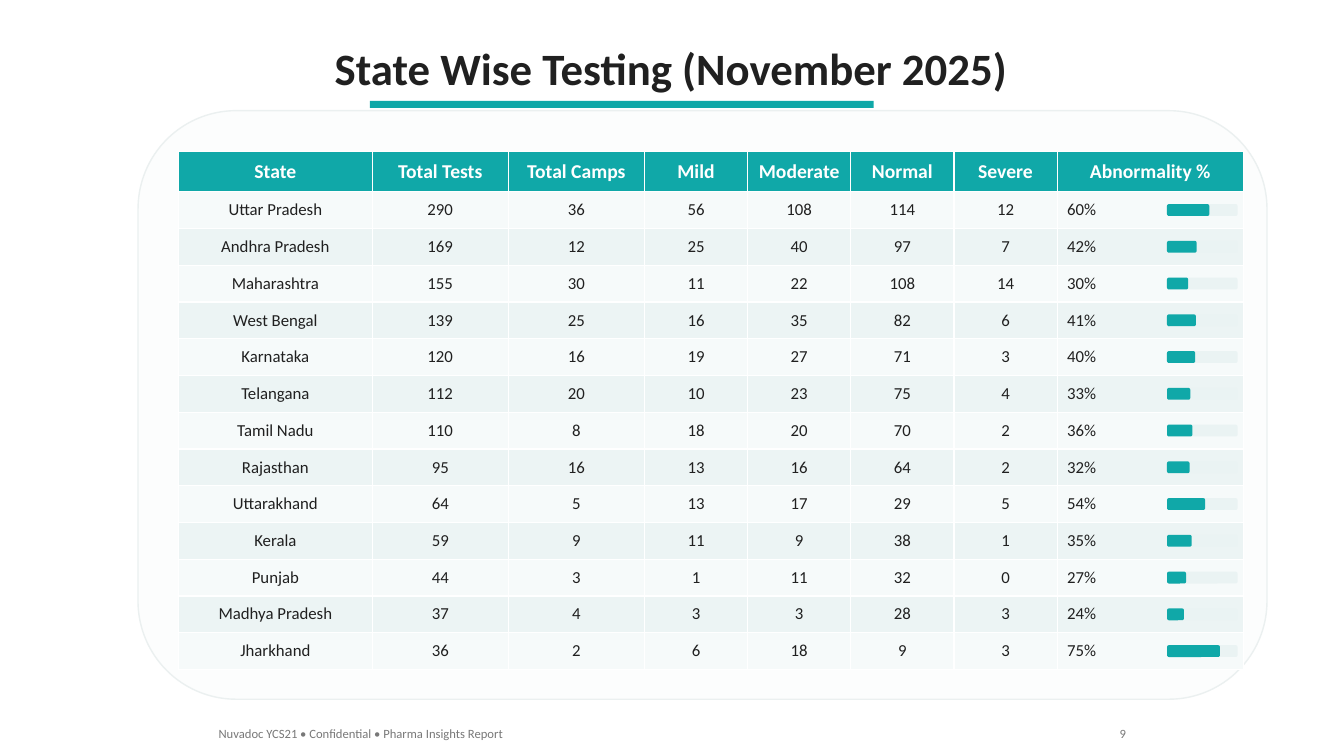
"""Build the state wise testing slide with its table and abnormality bars."""
from dataclasses import dataclass
from typing import Any

from pptx import Presentation
from pptx.dml.color import RGBColor
from pptx.enum.shapes import MSO_SHAPE as Preset
from pptx.enum.text import MSO_ANCHOR as Anchor, MSO_AUTO_SIZE as AutoSize, PP_ALIGN as Align
from pptx.util import Cm, Pt

TEAL = RGBColor(0x10, 0xA8, 0xA8)
INK = RGBColor(0x20, 0x20, 0x20)
GREY = RGBColor(0x78, 0x78, 0x78)
WHITE = RGBColor(0xFF, 0xFF, 0xFF)
CARD_FILL = RGBColor(0xFC, 0xFD, 0xFD)
CARD_LINE = RGBColor(0xEB, 0xF0, 0xF0)
BAR_TRACK = RGBColor(0xEA, 0xF3, 0xF3)
BANDS = (RGBColor(0xF6, 0xFA, 0xFA), RGBColor(0xEC, 0xF4, 0xF4))

TITLE_FONT = {"name": "Calibri", "size": Pt(32), "bold": True}
HEADER_FONT = {"name": "Calibri", "size": Pt(14), "bold": True}
BODY_FONT = {"name": "Calibri", "size": Pt(12), "bold": False}
FOOTER_FONT = {"name": "Calibri", "size": Pt(9)}


@dataclass(frozen=True)
class Area:
    """A rectangle in centimetres."""
    left: float
    top: float
    width: float
    height: float

    def lengths(self) -> tuple[Cm, Cm, Cm, Cm]:
        """Return the sides as slide lengths."""
        return Cm(self.left), Cm(self.top), Cm(self.width), Cm(self.height)


@dataclass(frozen=True)
class Label:
    """A single line of text on the slide."""
    text: str
    area: Area
    font: dict[str, Any]
    color: RGBColor
    align: Align


@dataclass(frozen=True)
class State:
    """Test results of one state."""
    name: str
    tests: int
    camps: int
    mild: int
    moderate: int
    normal: int
    severe: int
    abnormality: int

    def texts(self) -> list[str]:
        """Return the cell texts of this state's row."""
        counts = (self.tests, self.camps, self.mild, self.moderate, self.normal, self.severe)
        return [self.name, *map(str, counts), f"{self.abnormality}%"]


LABELS = (
    Label("State Wise Testing (November 2025)", Area(8.1, 0.89, 17.63, 1.63),
          TITLE_FONT, INK, Align.CENTER),
    Label("Nuvadoc YCS21 • Confidential • Pharma Insights Report",
          Area(5.26, 18.16, 7.75, 0.64), FOOTER_FONT, GREY, Align.LEFT),
    Label("9", Area(27.94, 18.16, 0.69, 0.64), FOOTER_FONT, GREY, Align.RIGHT),
)
HEADERS = ["State", "Total Tests", "Total Camps", "Mild", "Moderate", "Normal", "Severe",
           "Abnormality %"]
COLUMN_WIDTHS = (4.88, 3.43, 3.43, 2.6, 2.6, 2.6, 2.6, 4.7)
STATES = (
    State("Uttar Pradesh", 290, 36, 56, 108, 114, 12, 60),
    State("Andhra Pradesh", 169, 12, 25, 40, 97, 7, 42),
    State("Maharashtra", 155, 30, 11, 22, 108, 14, 30),
    State("West Bengal", 139, 25, 16, 35, 82, 6, 41),
    State("Karnataka", 120, 16, 19, 27, 71, 3, 40),
    State("Telangana", 112, 20, 10, 23, 75, 4, 33),
    State("Tamil Nadu", 110, 8, 18, 20, 70, 2, 36),
    State("Rajasthan", 95, 16, 13, 16, 64, 2, 32),
    State("Uttarakhand", 64, 5, 13, 17, 29, 5, 54),
    State("Kerala", 59, 9, 11, 9, 38, 1, 35),
    State("Punjab", 44, 3, 1, 11, 32, 0, 27),
    State("Madhya Pradesh", 37, 4, 3, 3, 28, 3, 24),
    State("Jharkhand", 36, 2, 6, 18, 9, 3, 75),
)
TABLE_AREA = Area(4.5, 3.81, sum(COLUMN_WIDTHS), 13.06)
HEADER_HEIGHT = 1.02
ROW_HEIGHT = (TABLE_AREA.height - HEADER_HEIGHT) / len(STATES)
BAR_LEFT, BAR_WIDTH, BAR_HEIGHT = 29.41, 1.78, 0.3


def write(para: Any, text: str, font: dict[str, Any], color: RGBColor, align: Align) -> None:
    """Put formatted text in a paragraph."""
    para.alignment = align
    span = para.add_run()
    span.text = text
    for key, value in font.items():
        setattr(span.font, key, value)
    span.font.color.rgb = color


def draw_label(page: Any, label: Label) -> None:
    """Add one line of text that does not wrap."""
    frame = page.shapes.add_textbox(*label.area.lengths()).text_frame
    frame.word_wrap = False
    frame.auto_size = AutoSize.SHAPE_TO_FIT_TEXT
    write(frame.paragraphs[0], label.text, label.font, label.color, label.align)


def draw_shape(page: Any, preset: Preset, area: Area, fill: RGBColor,
               line: RGBColor | None = None) -> None:
    """Add a flat shape, outlined if a line colour is given."""
    shape = page.shapes.add_shape(preset, *area.lengths())
    shape.shadow.inherit = False
    shape.fill.solid()
    shape.fill.fore_color.rgb = fill
    if line is None:
        shape.line.fill.background()
    else:
        shape.line.color.rgb = line
        shape.line.width = Pt(1)


def fill_row(row: Any, texts: list[str], fill: RGBColor, font: dict[str, Any],
             color: RGBColor, last_align: Align) -> None:
    """Fill a table row, with its own alignment for the last cell."""
    aligns = [Align.CENTER] * (len(texts) - 1) + [last_align]
    for cell, text, align in zip(row.cells, texts, aligns):
        cell.fill.solid()
        cell.fill.fore_color.rgb = fill
        cell.vertical_anchor = Anchor.MIDDLE
        write(cell.text_frame.paragraphs[0], text, font, color, align)


def draw_table(page: Any) -> None:
    """Add the table of states."""
    table = page.shapes.add_table(len(STATES) + 1, len(HEADERS), *TABLE_AREA.lengths()).table
    for column, width in zip(table.columns, COLUMN_WIDTHS):
        column.width = Cm(width)
    header, *rows = table.rows
    header.height = Cm(HEADER_HEIGHT)
    fill_row(header, HEADERS, TEAL, HEADER_FONT, WHITE, Align.CENTER)
    for index, (row, state) in enumerate(zip(rows, STATES)):
        row.height = Cm(ROW_HEIGHT)
        fill_row(row, state.texts(), BANDS[index % 2], BODY_FONT, INK, Align.LEFT)


def draw_bars(page: Any) -> None:
    """Add a track and a proportional bar in every state row."""
    first_top = TABLE_AREA.top + HEADER_HEIGHT + (ROW_HEIGHT - BAR_HEIGHT) / 2
    for index, state in enumerate(STATES):
        top = first_top + index * ROW_HEIGHT
        for share, fill in ((1, BAR_TRACK), (state.abnormality / 100, TEAL)):
            area = Area(BAR_LEFT, top, BAR_WIDTH * share, BAR_HEIGHT)
            draw_shape(page, Preset.ROUNDED_RECTANGLE, area, fill)


def main() -> None:
    """Build and save the deck."""
    deck = Presentation()
    deck.slide_width, deck.slide_height = Cm(33.87), Cm(19.05)
    page = deck.slides.add_slide(deck.slide_layouts[6])
    draw_shape(page, Preset.RECTANGLE, Area(9.32, 2.54, 12.7, 0.18), TEAL)
    draw_shape(page, Preset.ROUNDED_RECTANGLE, Area(3.48, 2.79, 28.45, 14.83),
               CARD_FILL, CARD_LINE)
    draw_table(page)
    draw_bars(page)
    for label in LABELS:
        draw_label(page, label)
    deck.save("out.pptx")


if __name__ == "__main__":
    main()
